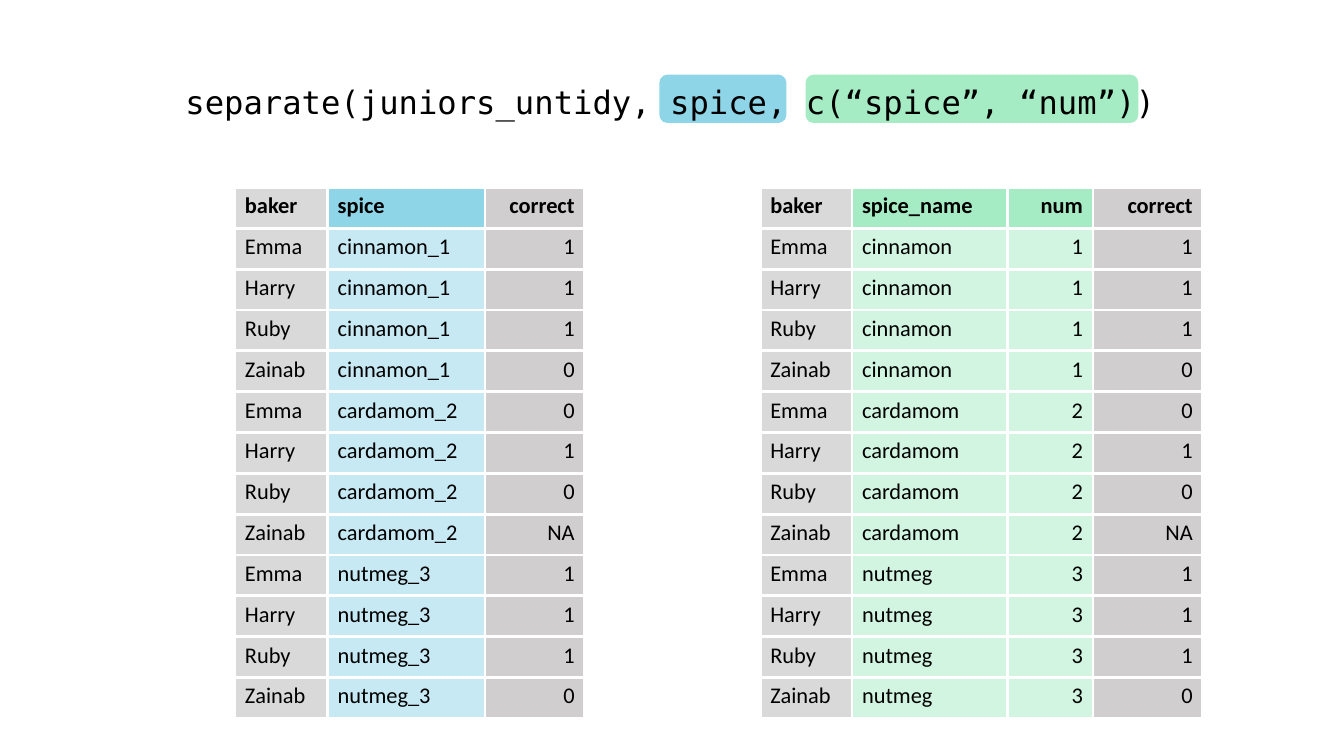
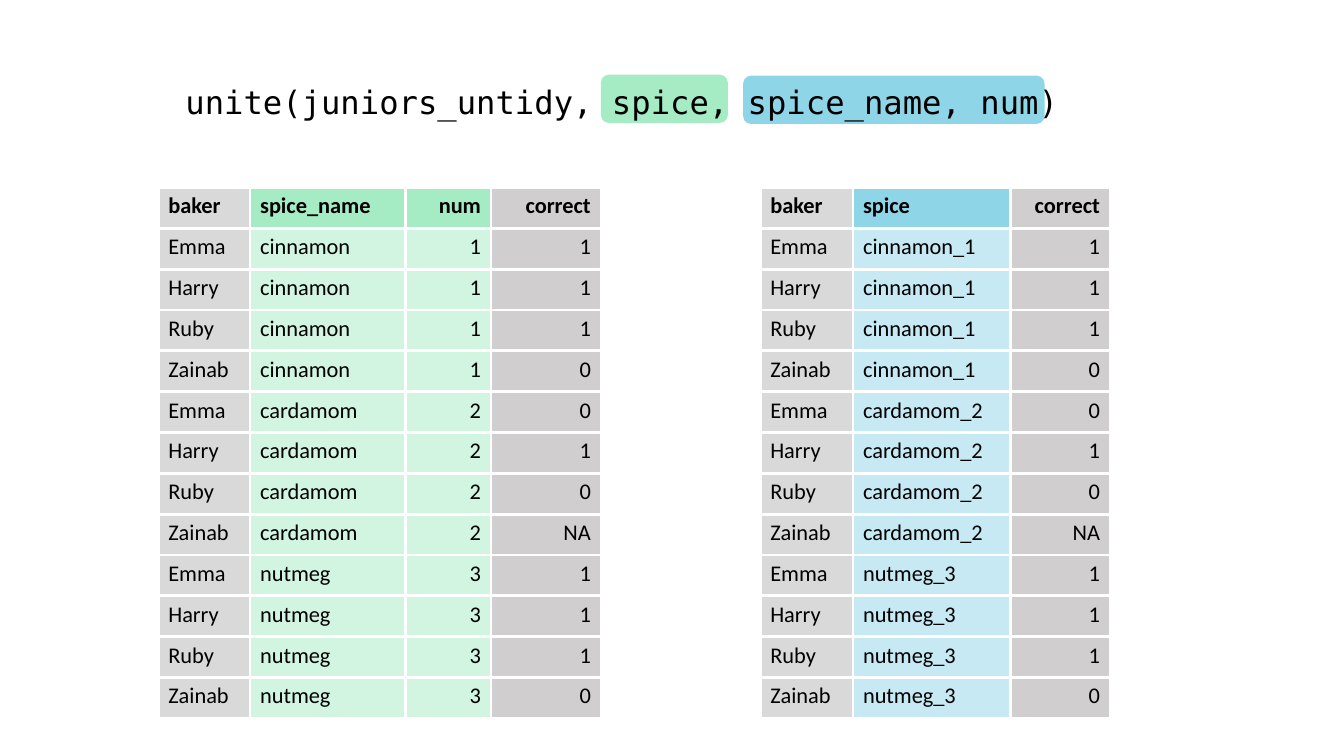
from lxml import etree
from pptx import Presentation
from pptx.dml.color import RGBColor
from pptx.enum import shapes, text
from pptx.oxml import ns
from pptx.util import Inches, Pt

BLACK, WHITE = "000000", "FFFFFF"
LIGHT_GREY, GREY = "D9D9D9", "D0CECE"
BLUE, GREEN = "8ED5E8", "A5ECC5"
BODY, CODE = "Calibri", "DejaVu Sans Mono"
TABLE_TOP, TABLE_HEIGHT = 1.86, 5.27
RIGHT_TABLE = 7.54

BAKERS = ["Emma", "Harry", "Ruby", "Zainab"]
SPICES = ["cinnamon", "cardamom", "nutmeg"]
CORRECT = ["1", "1", "1", "0", "0", "1", "0", "NA", "1", "1", "1", "0"]

UNITED_COLUMNS = [
    ("baker", 0.92, LIGHT_GREY, False),
    ("spice", 1.56, BLUE, False),
    ("correct", 0.99, GREY, True),
]
SEPARATED_COLUMNS = [
    ("baker", 0.91, LIGHT_GREY, False),
    ("spice_name", 1.54, GREEN, False),
    ("num", 0.85, GREEN, True),
    ("correct", 1.09, GREY, True),
]


def rgb(color):
    return RGBColor.from_string(color)


def records():
    for i, correct in enumerate(CORRECT):
        group, baker = divmod(i, len(BAKERS))
        name, num = SPICES[group], str(group + 1)
        yield {"baker": BAKERS[baker], "spice": f"{name}_{num}",
               "spice_name": name, "num": num, "correct": correct}


def write(tf, content, size=16, font=BODY, color=BLACK, bold=False,
          align=text.PP_ALIGN.LEFT, spacing=None):
    p = tf.paragraphs[0]
    p.alignment = align
    p.line_spacing = spacing
    r = p.add_run()
    r.text = content
    r.font.size = Pt(size)
    r.font.name = font
    r.font.bold = bold
    r.font.color.rgb = rgb(color)


def set_borders(cell, color=WHITE, width=2.25):
    tc_pr = cell._tc.get_or_add_tcPr()
    for side in ("lnL", "lnR", "lnT", "lnB"):
        ln = etree.SubElement(tc_pr, ns.qn(f"a:{side}"), w=str(Pt(width)))
        fill = etree.SubElement(ln, ns.qn("a:solidFill"))
        etree.SubElement(fill, ns.qn("a:srgbClr"), val=color)


def fill_cell(cell, color, translucent):
    cell.fill.solid()
    cell.fill.fore_color.rgb = rgb(color)
    if translucent:
        clr = cell._tc.tcPr.find(".//" + ns.qn("a:solidFill") + "[last()]")
        clr = cell._tc.tcPr.findall(ns.qn("a:solidFill"))[0][0]
        etree.SubElement(clr, ns.qn("a:alpha"), val="50000")


def add_data_table(s, left, columns):
    rows = [{c[0]: c[0] for c in columns}, *records()]
    width = sum(c[1] for c in columns)
    table = s.shapes.add_table(len(rows), len(columns), Inches(left), Inches(TABLE_TOP),
                               Inches(width), Inches(TABLE_HEIGHT)).table
    table.horz_banding = False
    for j, (key, col_width, color, numeric) in enumerate(columns):
        table.columns[j].width = Inches(col_width)
        align = text.PP_ALIGN.RIGHT if numeric else text.PP_ALIGN.LEFT
        for i, row in enumerate(rows):
            cell = table.cell(i, j)
            set_borders(cell)
            fill_cell(cell, color, i > 0 and color in (BLUE, GREEN))
            write(cell.text_frame, row[key], bold=i == 0, align=align)


def add_highlight(s, left, width, color, top=0.74):
    sp = s.shapes.add_shape(shapes.MSO_SHAPE.ROUNDED_RECTANGLE, Inches(left), Inches(top),
                            Inches(width), Inches(0.48))
    sp.shadow.inherit = False
    sp.fill.solid()
    sp.fill.fore_color.rgb = rgb(color)
    sp.line.fill.background()


def add_call(s, code):
    tf = s.shapes.add_textbox(Inches(1.74), Inches(0.58), Inches(9.85), Inches(0.62)).text_frame
    tf.word_wrap = True
    tf.auto_size = text.MSO_AUTO_SIZE.SHAPE_TO_FIT_TEXT
    write(tf, code, size=23, font=CODE, spacing=1.5)


def add_slide(prs, code, highlights, tables):
    s = prs.slides.add_slide(prs.slide_layouts[6])
    for left, columns in tables:
        add_data_table(s, left, columns)
    for highlight in highlights:
        add_highlight(s, *highlight)
    add_call(s, code)


def main():
    prs = Presentation()
    prs.slide_width, prs.slide_height = Inches(13.33), Inches(7.5)
    add_slide(prs, "separate(juniors_untidy, spice, c(“spice”, “num”))",
              [(7.99, 3.3, GREEN), (6.54, 1.26, BLUE)],
              [(2.33, UNITED_COLUMNS), (RIGHT_TABLE, SEPARATED_COLUMNS)])
    add_slide(prs, "unite(juniors_untidy, spice, spice_name, num)",
              [(7.37, 2.99, BLUE, 0.75), (5.96, 1.26, GREEN)],
              [(RIGHT_TABLE, UNITED_COLUMNS), (1.57, SEPARATED_COLUMNS)])
    prs.save("out.pptx")


if __name__ == "__main__":
    main()
